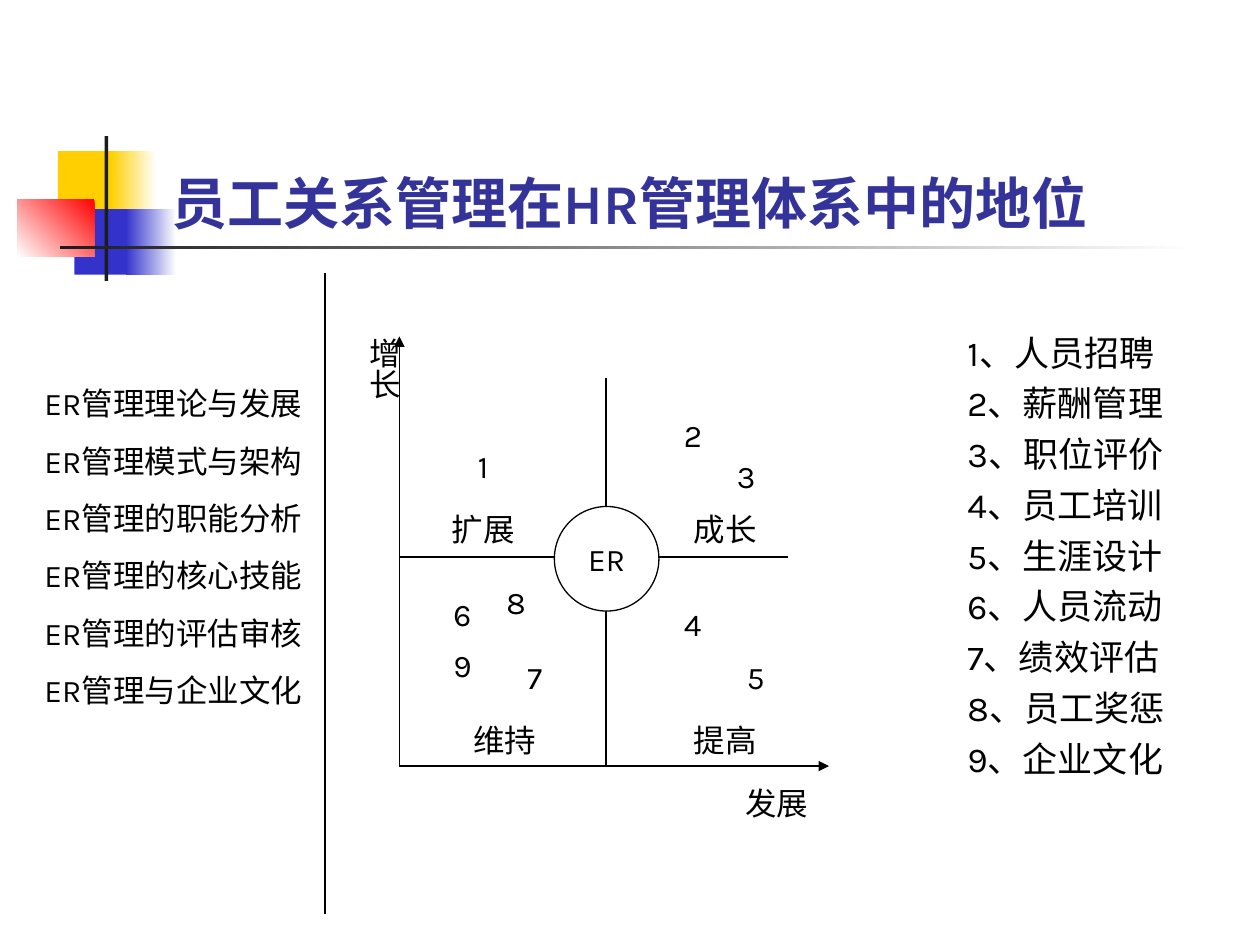
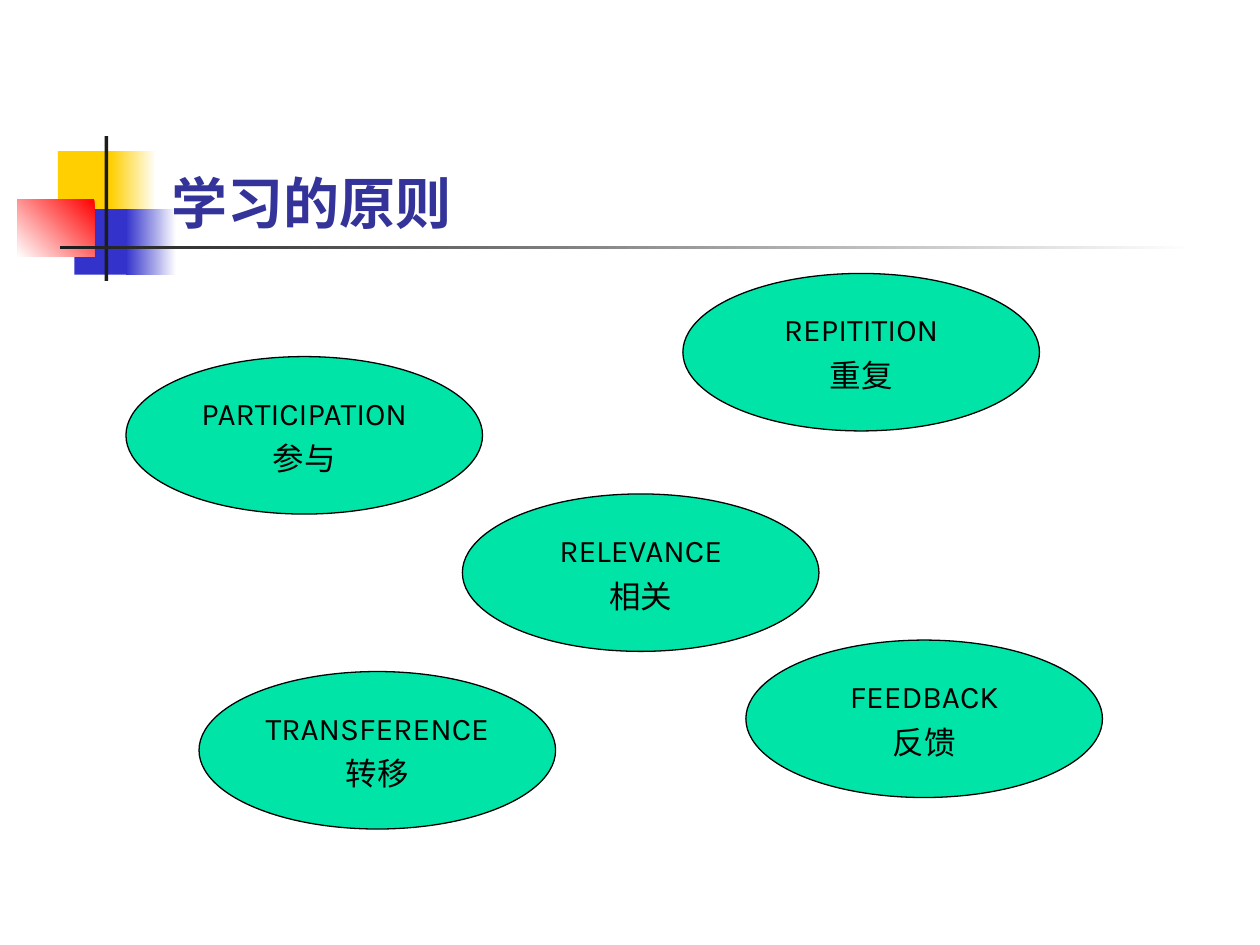
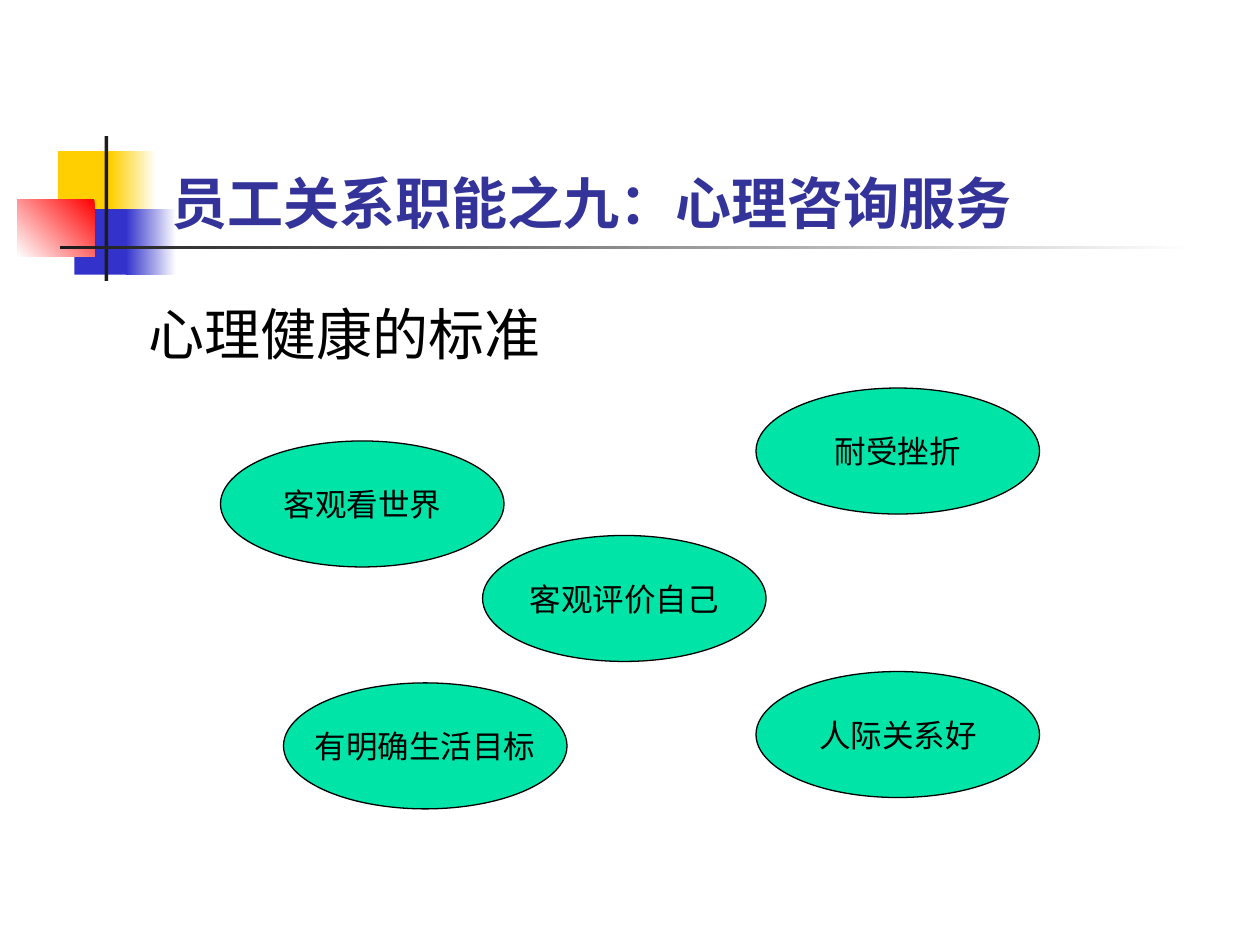
from dataclasses import dataclass

from lxml import etree
from pptx import Presentation
from pptx.dml.color import RGBColor
from pptx.enum.shapes import MSO_CONNECTOR as Conn, MSO_SHAPE as Shape
from pptx.enum.text import MSO_ANCHOR as Anchor, PP_ALIGN as Align
from pptx.oxml.ns import qn
from pptx.util import Inches, Pt


@dataclass(frozen=True)
class Theme:
    font: str = "Karla"
    title: str = "333399"
    text: str = "000000"
    white: str = "FFFFFF"
    yellow: str = "FFCF01"
    blue: str = "3333CC"
    red: str = "FF0000"
    rule: str = "1C1C1C"
    bubble: str = "00E4A8"
    title_size: int = 32
    list_size: int = 20
    label_size: int = 18
    line_width: float = 0.75


@dataclass(frozen=True)
class Box:
    x: float
    y: float
    w: float
    h: float

    def sub(self, x, y, w, h):
        """Box whose position is measured from this box's corner."""
        return Box(self.x + x, self.y + y, w, h)

    def lengths(self):
        return [Inches(v) for v in (self.x, self.y, self.w, self.h)]


T = Theme()
PAGE = Box(0, 0, 10, 7.5)


# Basic parts
def rgb(color):
    return RGBColor.from_string(color)


def write(tf, lines, size=T.label_size, color=T.text, bold=False,
          align=Align.CENTER, gap=0.0):
    for i, line in enumerate(lines):
        p = tf.paragraphs[0] if i == 0 else tf.add_paragraph()
        p.text = line
        p.alignment = align
        p.space_before = Pt(gap if i else 0)
        f = p.font
        f.name, f.size, f.bold = T.font, Pt(size), bold
        f.color.rgb = rgb(color)


def add_text(s, box, lines, anchor=Anchor.TOP, **style):
    sp = s.shapes.add_textbox(*box.lengths())
    tf = sp.text_frame
    tf.word_wrap = True
    tf.vertical_anchor = anchor
    write(tf, lines, **style)
    return sp


def add_block(s, box, start, end=None, angle=180):
    """Borderless rectangle, plain or fading from start to end."""
    sp = s.shapes.add_shape(Shape.RECTANGLE, *box.lengths())
    sp.shadow.inherit = False
    sp.line.fill.background()
    if end is None:
        sp.fill.solid()
        sp.fill.fore_color.rgb = rgb(start)
        return
    sp.fill.gradient()
    sp.fill.gradient_angle = angle
    for stop, color, place in zip(sp.fill.gradient_stops, (start, end), (0, 1)):
        stop.color.rgb = rgb(color)
        stop.position = place


def add_oval(s, box, lines, fill):
    sp = s.shapes.add_shape(Shape.OVAL, *box.lengths())
    sp.shadow.inherit = False
    sp.fill.solid()
    sp.fill.fore_color.rgb = rgb(fill)
    sp.line.color.rgb = rgb(T.text)
    sp.line.width = Pt(T.line_width)
    tf = sp.text_frame
    tf.word_wrap = False
    tf.vertical_anchor = Anchor.MIDDLE
    write(tf, lines, gap=4.5)


def add_line(s, box, start, end, arrow=False):
    """Line between two points measured from the box's corner."""
    ends = [Inches(v) for x, y in (start, end) for v in (box.x + x, box.y + y)]
    line = s.shapes.add_connector(Conn.STRAIGHT, *ends)
    line.line.color.rgb = rgb(T.text)
    line.line.width = Pt(T.line_width)
    if arrow:
        etree.SubElement(line.line._get_or_add_ln(), qn("a:tailEnd"), type="triangle")
    etree.SubElement(line._element.spPr, qn("a:effectLst"))


# Shared frame: corner blocks, rules and title
def add_ornament(s, box):
    add_block(s, box.sub(0.32, 0.12, 0.48, 0.52), T.yellow)
    add_block(s, box.sub(0.74, 0.12, 0.36, 0.52), T.white, T.yellow)
    add_block(s, box.sub(0.45, 0.58, 0.46, 0.52), T.blue)
    add_block(s, box.sub(0.86, 0.58, 0.4, 0.52), T.white, T.blue)
    add_block(s, box.sub(0, 0.5, 0.61, 0.46), T.red, T.white, angle=225)
    add_block(s, box.sub(0.69, 0, 0.03, 1.15), T.rule)
    add_block(s, box.sub(0.34, 0.87, 9, 0.03), T.white, T.rule)


def new_slide(prs, title):
    s = prs.slides.add_slide(prs.slide_layouts[6])
    add_ornament(s, PAGE.sub(0.14, 1.08, 9.34, 1.15))
    add_text(s, PAGE.sub(1.26, 0.67, 8.52, 1.25), [title], Anchor.BOTTOM,
             size=T.title_size, color=T.title, bold=True, align=Align.LEFT)
    return s


# Growth and development quadrants
def add_quadrants(s, box):
    mid_x, mid_y = 1.64, 1.75
    add_line(s, box, (0, box.h), (box.w, box.h), arrow=True)
    add_line(s, box, (0, box.h), (0, 0), arrow=True)
    add_line(s, box, (0, mid_y), (3.08, mid_y))
    add_line(s, box, (mid_x, 0.33), (mid_x, box.h))
    add_oval(s, box.sub(1.23, 1.35, 0.83, 0.83), ["ER"], T.white)

    # Axis and quadrant names
    growth = add_text(s, box.sub(-0.42, -0.09, 0.5, 0.92), ["增长"])
    body = growth.text_frame._txBody.bodyPr
    body.set("vert", "eaVert")
    for side, inset in zip(("lIns", "tIns", "rIns", "bIns"), (0.05, 0.1) * 2):
        body.set(side, str(Inches(inset)))
    names = [("发展", 2.41, 3.5), ("维持", 0.25, 3), ("提高", 2, 3),
             ("扩展", 0.08, 1.33), ("成长", 2, 1.33)]
    for name, x, y in names:
        add_text(s, box.sub(x, y, 1.17, 0.4), [name])

    # Numbers of the listed functions
    spots = {1: (0.5, 0.83), 2: (2.16, 0.58), 3: (2.58, 0.91),
             4: (2.16, 2.08), 5: (2.66, 2.5), 6: (0.33, 2),
             7: (0.91, 2.5), 8: (0.75, 1.91), 9: (0.33, 2.41)}
    for number, (x, y) in spots.items():
        add_text(s, box.sub(x, y, 0.33, 0.4), [str(number)])


# Slides
def position_slide(prs):
    s = new_slide(prs, "员工关系管理在HR管理体系中的地位")
    functions = ["人员招聘", "薪酬管理", "职位评价", "员工培训", "生涯设计",
                 "人员流动", "绩效评估", "员工奖惩", "企业文化"]
    topics = ["管理理论与发展", "管理模式与架构", "管理的职能分析",
              "管理的核心技能", "管理的评估审核", "管理与企业文化"]
    add_text(s, PAGE.sub(7.58, 2.58, 1.92, 3.83),
             [f"{i}、{name}" for i, name in enumerate(functions, 1)],
             size=T.list_size, align=Align.LEFT, gap=5)
    add_text(s, PAGE.sub(0.25, 3, 2.25, 4.48),
             [f"ER{topic}" for topic in topics], gap=11.2)
    add_line(s, PAGE, (2.58, 2.17), (2.58, 7.25))
    add_quadrants(s, PAGE.sub(3.17, 2.67, 3.41, 3.41))


def bubble_slide(prs, title, size, bubbles, heading=None):
    s = new_slide(prs, title)
    if heading:
        add_text(s, PAGE.sub(1.08, 2.33, 4.62, 0.96), [heading],
                 size=T.title_size, align=Align.LEFT)
    for x, y, *lines in bubbles:
        add_oval(s, PAGE.sub(x, y, *size), lines, T.bubble)


def main():
    prs = Presentation()
    prs.slide_width, prs.slide_height = Inches(PAGE.w), Inches(PAGE.h)
    position_slide(prs)
    bubble_slide(prs, "学习的原则", (2.83, 1.25), [
        (1, 2.83, "PARTICIPATION", "参与"),
        (5.42, 2.17, "REPITITION", "重复"),
        (3.67, 3.92, "RELEVANCE", "相关"),
        (1.58, 5.33, "TRANSFERENCE", "转移"),
        (5.92, 5.08, "FEEDBACK", "反馈"),
    ])
    bubble_slide(prs, "员工关系职能之九：心理咨询服务", (2.25, 1), [
        (1.75, 3.5, "客观看世界"),
        (3.83, 4.25, "客观评价自己"),
        (2.25, 5.42, "有明确生活目标"),
        (6, 3.08, "耐受挫折"),
        (6, 5.33, "人际关系好"),
    ], heading="心理健康的标准")
    prs.save("out.pptx")


if __name__ == "__main__":
    main()
